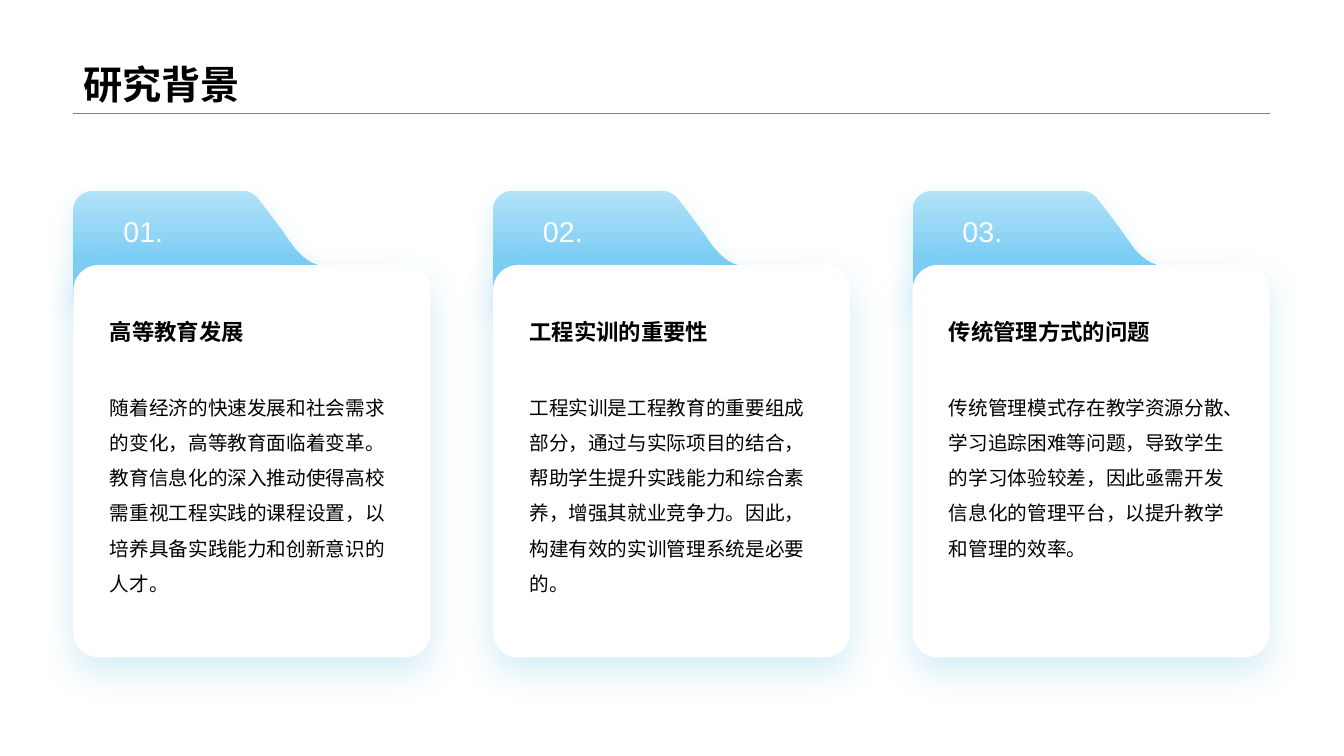
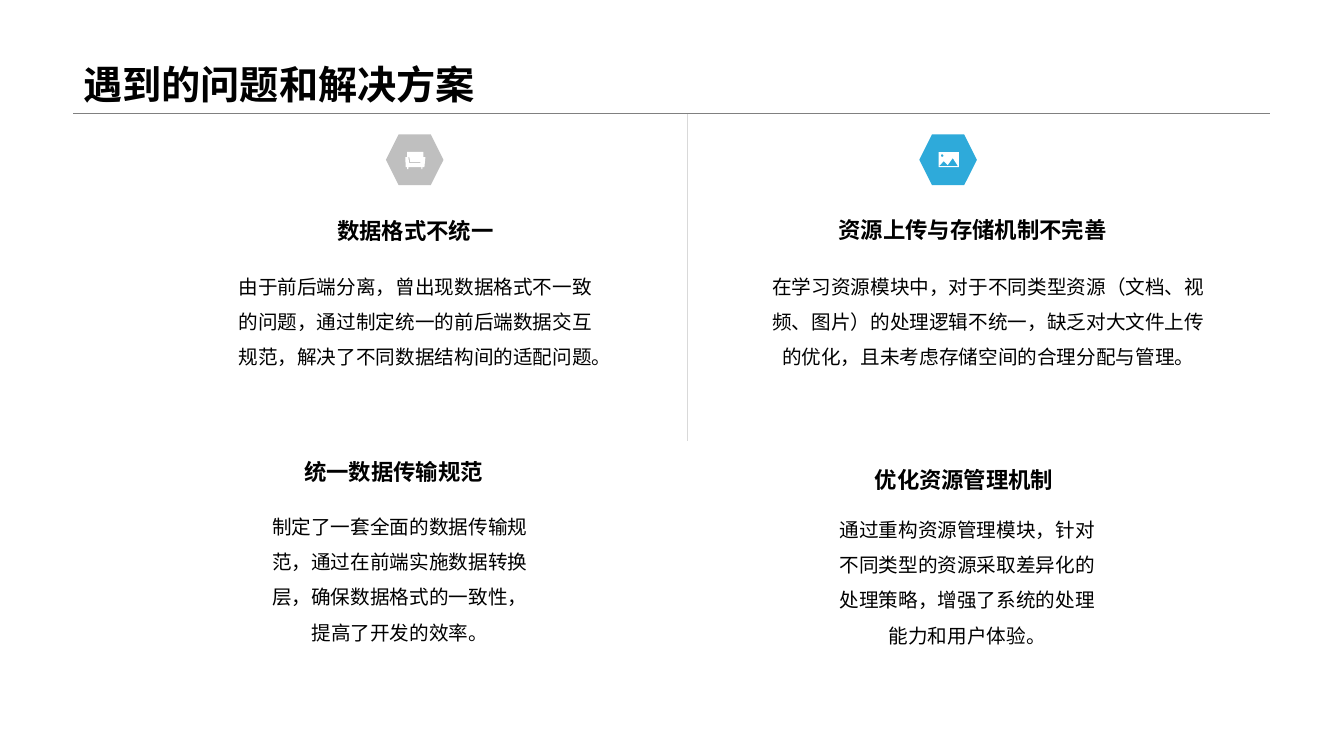
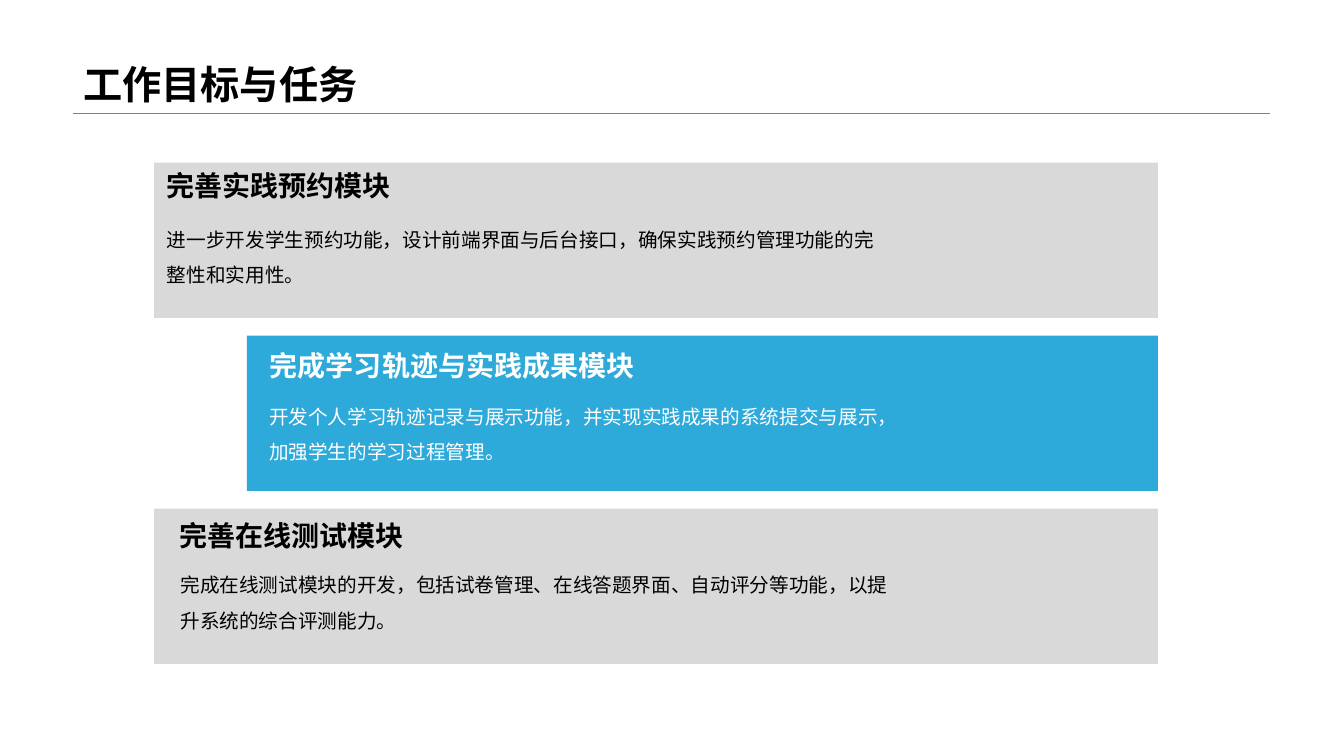
from math import cos, pi, sin

from lxml import etree
from pptx import Presentation
from pptx.dml.color import RGBColor
from pptx.enum.lang import MSO_LANGUAGE_ID
from pptx.enum.shapes import MSO_CONNECTOR, MSO_SHAPE
from pptx.enum.text import MSO_ANCHOR, PP_ALIGN
from pptx.oxml.ns import qn
from pptx.util import Inches, Pt

STRAIGHT = MSO_CONNECTOR.STRAIGHT
RECTANGLE, ROUNDED, HEXAGON = (
    MSO_SHAPE.RECTANGLE, MSO_SHAPE.ROUNDED_RECTANGLE, MSO_SHAPE.HEXAGON)
LEFT, CENTER = PP_ALIGN.LEFT, PP_ALIGN.CENTER
TOP, MIDDLE, BOTTOM = MSO_ANCHOR.TOP, MSO_ANCHOR.MIDDLE, MSO_ANCHOR.BOTTOM
CHINESE = MSO_LANGUAGE_ID.SIMPLIFIED_CHINESE

BLACK = RGBColor(0x00, 0x00, 0x00)
WHITE = RGBColor(0xFF, 0xFF, 0xFF)
GRAY = RGBColor(0x80, 0x80, 0x80)
MID_GRAY = RGBColor(0xBF, 0xBF, 0xBF)
LIGHT_GRAY = RGBColor(0xD9, 0xD9, 0xD9)
BLUE = RGBColor(0x2E, 0xAA, 0xDA)
SKY = RGBColor(0x7E, 0xCE, 0xF4)
PALE_SKY = RGBColor(0xB2, 0xE2, 0xF8)

CHINESE_FONT = "Noto Sans CJK SC"
LATIN_FONT = "Arial"

# The slide is a grid of 160 by 90 square cells; outlines use hundredths of one
COLUMNS, ROWS = 160, 90
CELL = Inches(1 / 12)
OUTLINE_SCALE = CELL / 100
MARGIN, TITLE_BOTTOM, TITLE_WIDTH = 8.75, 13.45, 142.5
HEADING_HEIGHT = 4.45


def add_text(slide, text, box, size=14, color=BLACK, bold=False, font=CHINESE_FONT,
             align=LEFT, anchor=TOP, spacing=1.0):
    """Write one paragraph in a box of (left, top, width, height) cells."""
    frame = slide.shapes.add_textbox(*[int(n * CELL) for n in box]).text_frame
    frame.word_wrap = True
    frame.vertical_anchor = anchor
    paragraph = frame.paragraphs[0]
    paragraph.alignment = align
    paragraph.line_spacing = spacing
    run = paragraph.add_run()
    run.text = text
    run.font.size = Pt(size)
    run.font.bold = bold
    run.font.color.rgb = color
    run.font.name = font
    run.font.language_id = CHINESE
    properties = run._r.get_or_add_rPr()
    etree.SubElement(properties, qn("a:ea"), typeface=CHINESE_FONT)


def style_shape(shape, color, blur=0):
    """Fill a shape, drop its outline and give it a soft blue shadow if blurred."""
    shape.fill.solid()
    shape.fill.fore_color.rgb = color
    shape.line.fill.background()
    shape.shadow.inherit = False
    if blur:
        effects = shape._element.spPr.find(qn("a:effectLst"))
        shadow = etree.SubElement(
            effects, qn("a:outerShdw"), blurRad=str(Pt(blur)), dist=str(Pt(10)),
            dir="5400000", algn="t", rotWithShape="0")
        tint = etree.SubElement(shadow, qn("a:srgbClr"), val=str(BLUE))
        etree.SubElement(tint, qn("a:alpha"), val="20000")


presentation = Presentation()
presentation.slide_width = COLUMNS * CELL
presentation.slide_height = ROWS * CELL
blank_layout = presentation.slide_layouts[6]

# Title and rules: each slide has a title rule, the second also a divider
title_rule = (MARGIN, TITLE_BOTTOM, MARGIN + TITLE_WIDTH, TITLE_BOTTOM, GRAY, 0.25)
divider = (81.85, 13.55, 81.85, 52.45, LIGHT_GRAY, 0.75)
slides = []
for title, rules in [
    ("研究背景", [title_rule]),
    ("遇到的问题和解决方案", [title_rule, divider]),
    ("工作目标与任务", [title_rule]),
]:
    slide = presentation.slides.add_slide(blank_layout)
    slides.append(slide)
    for *ends, color, width in rules:
        rule = slide.shapes.add_connector(STRAIGHT, *[int(n * CELL) for n in ends])
        rule.line.color.rgb = color
        rule.line.width = Pt(width)
        etree.SubElement(rule._element.spPr, qn("a:effectLst"))
    add_text(slide, title, (MARGIN, 0, TITLE_WIDTH, TITLE_BOTTOM), size=28, bold=True,
             anchor=BOTTOM, spacing=0.9)
background_slide, problems_slide, goals_slide = slides

# Folder tab outline: straight corners joined by sampled Bézier curves
tab_points = [(2950, 900), (0, 1320), (0, 240)]
for start, pull, push, end in [
    ((0, 240), (0, 108), (108, 0), (240, 0)),
    ((2004, 0), (2076, 0), (2148, 36), (2196, 96)),
    ((2448, 432), (2568, 588), (2690, 850), (2950, 900)),
]:
    for step in range(13):
        t = step / 12
        weights = ((1 - t) ** 3, 3 * t * (1 - t) ** 2, 3 * t * t * (1 - t), t ** 3)
        tab_points.append(tuple(
            sum(w * point[axis] for w, point in zip(weights, (start, pull, push, end)))
            for axis in (0, 1)))

# Slide 1: three folder cards
CARD_PITCH, CARD_WIDTH, CARD_HEIGHT = 49.95, 42.5, 46.7
TAB_TOP, CARD_TOP = 22.7, 31.55
cards = [
    ("高等教育发展",
     "随着经济的快速发展和社会需求的变化，高等教育面临着变革。教育信息化的深入推动使得高校"
     "需重视工程实践的课程设置，以培养具备实践能力和创新意识的人才。"),
    ("工程实训的重要性",
     "工程实训是工程教育的重要组成部分，通过与实际项目的结合，帮助学生提升实践能力和综合素"
     "养，增强其就业竞争力。因此，构建有效的实训管理系统是必要的。"),
    ("传统管理方式的问题",
     "传统管理模式存在教学资源分散、学习追踪困难等问题，导致学生的学习体验较差，因此亟需开发"
     "信息化的管理平台，以提升教学和管理的效率。"),
]
for index, (heading, body) in enumerate(cards):
    left = MARGIN + index * CARD_PITCH
    builder = background_slide.shapes.build_freeform(*tab_points[0], scale=OUTLINE_SCALE)
    builder.add_line_segments(tab_points[1:])
    tab = builder.convert_to_shape(int(left * CELL), int(TAB_TOP * CELL))
    style_shape(tab, SKY, blur=20)
    tab.fill.gradient()
    tab.fill.gradient_angle = 270
    for stop, color, position in zip(tab.fill.gradient_stops, (PALE_SKY, SKY), (0, 0.6)):
        stop.color.rgb = color
        stop.position = position

    card = background_slide.shapes.add_shape(
        ROUNDED, *[int(n * CELL) for n in (left, CARD_TOP, CARD_WIDTH, CARD_HEIGHT)])
    card.adjustments[0] = 0.07
    style_shape(card, WHITE, blur=25)
    add_text(background_slide, f"{index + 1:02d}.", (left + 4.75, 25.2, 11.3, 4.7),
             size=20.5, color=WHITE, font=LATIN_FONT, anchor=MIDDLE)
    add_text(background_slide, heading, (left + 3.15, 37.2, 36.35, HEADING_HEIGHT),
             size=16, bold=True, anchor=BOTTOM)
    add_text(background_slide, body, (left + 3.15, 45.1, 36.35, 26.2), spacing=1.5)

# Slide 2: hexagon icons, each a list of closed contours
sofa = [
    [(36, 60), (48, 132), (180, 132), (192, 60), (240, 60), (228, 180), (204, 180),
     (204, 204), (192, 204), (192, 180), (36, 180), (36, 204), (24, 204), (24, 180),
     (6, 180), (0, 60)],
    [(216, 0), (216, 60), (192, 60), (180, 120), (60, 120), (48, 60), (24, 60), (24, 0)],
]
landscape = [
    [(0, 0), (240, 0), (240, 180), (0, 180)],
    [(168, 72), (108, 156), (60, 108), (6, 168), (230, 168)],
    [(42 + 16 * cos(k * pi / 6), 42 + 16 * sin(k * pi / 6)) for k in range(12)],
]
HEXAGON_TOP = 16
for left, color, contours in [(45.95, MID_GRAY, sofa), (109.45, BLUE, landscape)]:
    hexagon = problems_slide.shapes.add_shape(
        HEXAGON, *[int(n * CELL) for n in (left, HEXAGON_TOP, 6.85, 6.05)])
    style_shape(hexagon, color)
    builder = problems_slide.shapes.build_freeform(*contours[0][0], scale=OUTLINE_SCALE)
    builder.add_line_segments(contours[0][1:])
    for contour in contours[1:]:
        builder.move_to(*contour[0])
        builder.add_line_segments(contour[1:])
    icon = builder.convert_to_shape(
        int((left + 2.3) * CELL), int((HEXAGON_TOP + 2.1) * CELL))
    style_shape(icon, WHITE)

# Problems above, solutions below: (left, top, width) of heading and body
for heading, heading_place, align, body, body_place in [
    ("数据格式不统一", (27, 25.3, 44.9), CENTER,
     "由于前后端分离，曾出现数据格式不一致的问题，通过制定统一的前后端数据交互规范，"
     "解决了不同数据结构间的适配问题。", (27, 30.7, 44.9)),
    ("资源上传与存储机制不完善", (93.35, 25.2, 44.9), CENTER,
     "在学习资源模块中，对于不同类型资源（文档、视频、图片）的处理逻辑不统一，"
     "缺乏对大文件上传的优化，且未考虑存储空间的合理分配与管理。", (89.9, 30.7, 55.55)),
    ("统一数据传输规范", (35.05, 54, 42.5), LEFT,
     "制定了一套全面的数据传输规范，通过在前端实施数据转换层，确保数据格式的一致性，"
     "提高了开发的效率。", (31.1, 59.3, 33)),
    ("优化资源管理机制", (102.95, 54.85, 40.7), LEFT,
     "通过重构资源管理模块，针对不同类型的资源采取差异化的处理策略，"
     "增强了系统的处理能力和用户体验。", (98.65, 59.65, 33)),
]:
    add_text(problems_slide, heading, (*heading_place, HEADING_HEIGHT), size=16,
             bold=True, align=align)
    add_text(problems_slide, body, (*body_place, 17.65), align=CENTER, spacing=1.5)

# Slide 3: three bars that end on one right edge
BAR_TOP, BAR_PITCH, BAR_HEIGHT, BAR_RIGHT = 19.35, 20.6, 18.5, 137.85
goals = [
    (18.35, LIGHT_GRAY, BLACK, "完善实践预约模块", (18.6, 19.45), (18.7, 25.1), 88.15,
     "进一步开发学生预约功能，设计前端界面与后台接口，确保实践预约管理功能的完整性和实用性。"),
    (29.4, BLUE, WHITE, "完成学习轨迹与实践成果模块", (30.95, 40.9), (30.85, 46.2), 77,
     "开发个人学习轨迹记录与展示功能，并实现实践成果的系统提交与展示，加强学生的学习过程管理。"),
    (18.35, LIGHT_GRAY, BLACK, "完善在线测试模块", (20.15, 61.1), (20.3, 66.25), 88.15,
     "完成在线测试模块的开发，包括试卷管理、在线答题界面、自动评分等功能，"
     "以提升系统的综合评测能力。"),
]
for index, goal in enumerate(goals):
    left, fill, color, heading, heading_corner, body_corner, width, body = goal
    bar_box = (left, BAR_TOP + index * BAR_PITCH, BAR_RIGHT - left, BAR_HEIGHT)
    bar = goals_slide.shapes.add_shape(RECTANGLE, *[int(n * CELL) for n in bar_box])
    style_shape(bar, fill)
    add_text(goals_slide, heading, (*heading_corner, width, 5.25), size=20, color=color,
             bold=True, font=LATIN_FONT)
    add_text(goals_slide, body, (*body_corner, width, 9.15), color=color,
             font=LATIN_FONT, spacing=1.5)

presentation.save("out.pptx")
